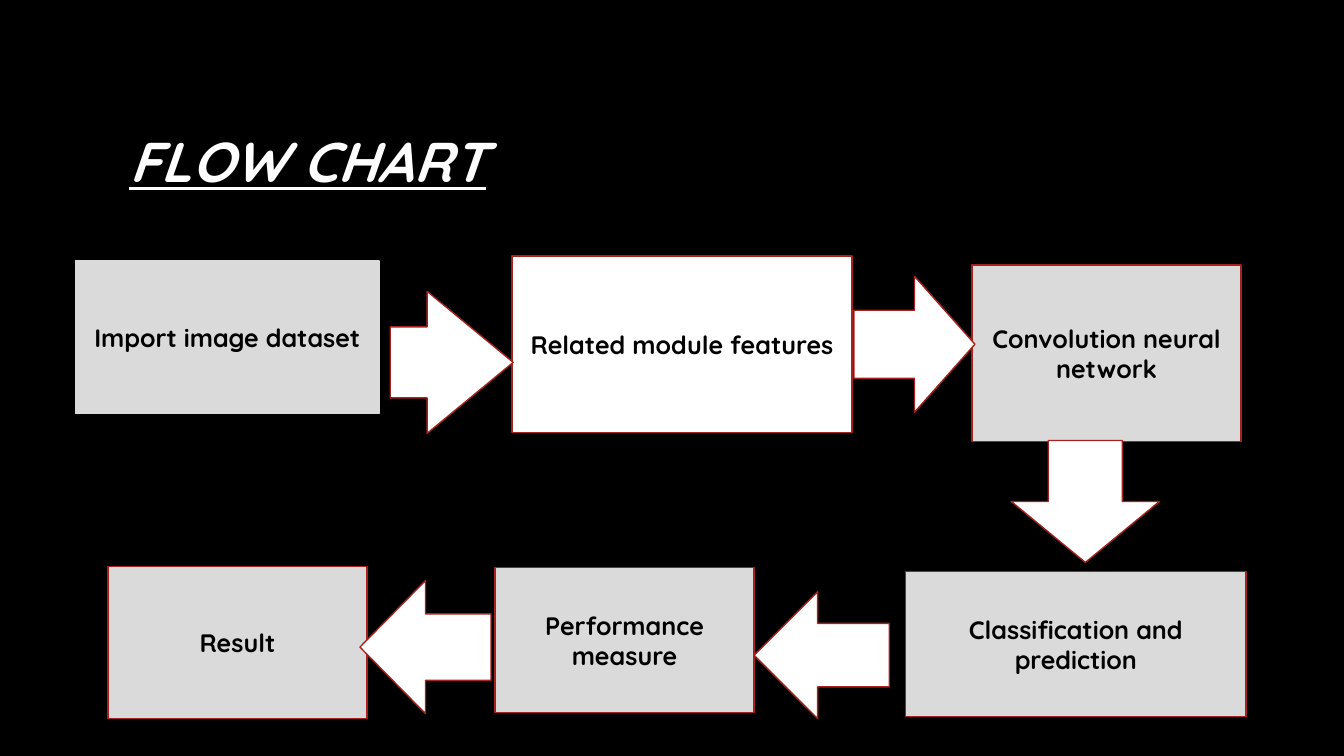
from pptx import Presentation
from pptx.dml.color import RGBColor
from pptx.enum import shapes, text
from pptx.util import Inches, Pt

FONT = "Quicksand"
COLORS = {"black": "000000", "white": "FFFFFF", "grey": "DADADA", "red": "A5221E"}

TITLE = ("FLOW CHART", (0.42, 1.07, 4.5, 1.13))
STEPS = [
    ("Import image dataset", (0.75, 2.59, 3.01, 1.51), "grey", "grey"),
    ("Related module features", (5.08, 2.54, 3.37, 1.75), "white", "red"),
    ("Convolution neural network", (9.64, 2.63, 2.67, 1.75), "grey", "red"),
    ("Classification and prediction", (8.98, 5.67, 3.38, 1.44), "grey", "red"),
    ("Performance measure", (4.91, 5.63, 2.57, 1.44), "grey", "red"),
    ("Result", (1.07, 5.62, 2.57, 1.51), "grey", "red"),
]
ARROWS = [
    ("RIGHT_ARROW", (3.87, 2.89, 1.22, 1.41), 0.7),
    ("RIGHT_ARROW", (8.47, 2.74, 1.2, 1.35), 0.5),
    ("DOWN_ARROW", (10.03, 4.37, 1.47, 1.21), 0.5),
    ("LEFT_ARROW", (7.48, 5.87, 1.34, 1.26), 0.5),
    ("LEFT_ARROW", (3.57, 5.76, 1.3, 1.32), 0.5),
]


def color(name):
    return RGBColor.from_string(COLORS[name])


def add_block(slide, kind, box, fill, line):
    block = slide.shapes.add_shape(kind, *map(Inches, box))
    block.shadow.inherit = False
    block.fill.solid()
    block.fill.fore_color.rgb = color(fill)
    block.line.color.rgb = color(line)
    block.line.width = Pt(1)
    return block


def write(holder, words, size, ink, align):
    frame = holder.text_frame
    frame.word_wrap = True
    frame.vertical_anchor = text.MSO_ANCHOR.MIDDLE
    paragraph = frame.paragraphs[0]
    paragraph.alignment = align
    run = paragraph.add_run()
    run.text = words
    run.font.name = FONT
    run.font.size = Pt(size)
    run.font.bold = True
    run.font.color.rgb = color(ink)
    return paragraph, run


def main():
    deck = Presentation()
    deck.slide_width, deck.slide_height = Inches(13.33), Inches(7.5)
    slide = deck.slides.add_slide(deck.slide_layouts[6])
    slide.background.fill.solid()
    slide.background.fill.fore_color.rgb = color("black")

    heading, title_box = TITLE
    title = slide.shapes.add_textbox(*map(Inches, title_box))
    paragraph, run = write(title, heading, 40, "white", text.PP_ALIGN.RIGHT)
    paragraph.line_spacing = 0.9
    run.font.italic = True
    run.font.underline = True

    for label, box, fill, line in STEPS:
        step = add_block(slide, shapes.MSO_SHAPE.RECTANGLE, box, fill, line)
        write(step, label, 18, "black", text.PP_ALIGN.CENTER)

    for direction, box, head in ARROWS:
        arrow = add_block(slide, shapes.MSO_SHAPE[direction], box, "white", "red")
        arrow.adjustments[1] = head

    deck.save("out.pptx")


if __name__ == "__main__":
    main()
